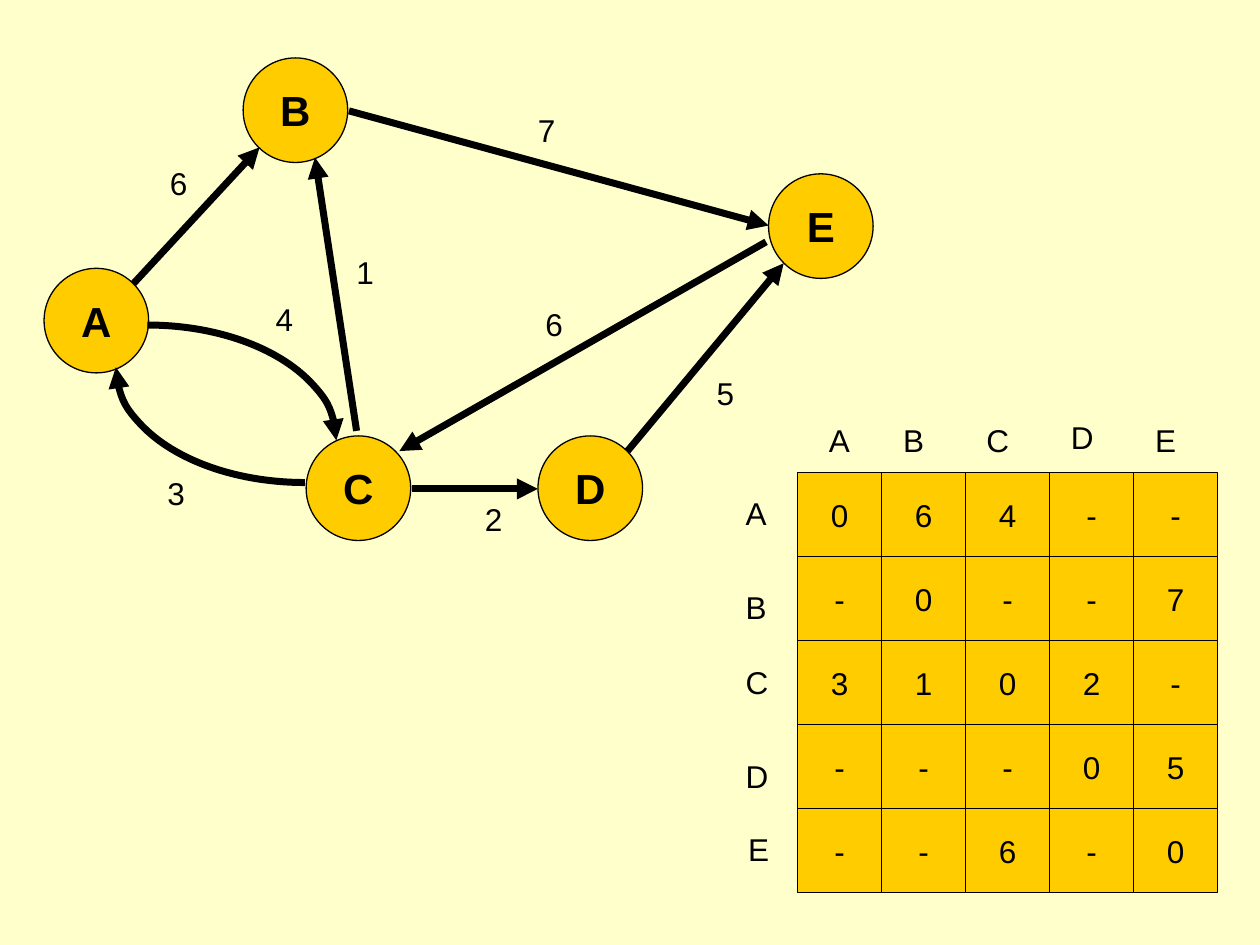
from lxml.etree import SubElement
from pptx import Presentation
from pptx.dml.color import RGBColor
from pptx.enum.shapes import MSO_CONNECTOR, MSO_SHAPE
from pptx.enum.text import MSO_ANCHOR, MSO_AUTO_SIZE, PP_ALIGN
from pptx.oxml.ns import qn
from pptx.util import Inches, Pt

CREAM = RGBColor(0xFF, 0xFF, 0xCC)
GOLD = RGBColor(0xFF, 0xCC, 0x00)
BLACK = RGBColor(0, 0, 0)

NODE_SIZE = 0.83
CELL_SIZE = 2 / 3
ARC_WIDTH, ARC_HEIGHT = 3, 1.83

# Positions are relative to the top left of the graph
NODES = {"A": (0, 1.67), "B": (1.58, 0), "C": (2.08, 3),
         "D": (3.92, 3), "E": (5.75, 0.92)}

# Start, end, weight, place of the weight
STRAIGHT_EDGES = [
    ((0.71, 1.79), (1.71, 0.71), "6", (0.9, 0.79)),    # A to B
    ((2.92, 3.42), (3.92, 3.42), "2", (3.4, 3.46)),    # C to D
    ((4.63, 3.12), (5.87, 1.63), "5", (5.24, 2.46)),   # D to E
    ((2.42, 0.42), (5.75, 1.33), "7", (3.82, 0.37)),   # B to E
    ((2.48, 2.96), (2.15, 0.79), "1", (2.38, 1.5)),    # C to B
    ((5.73, 1.46), (2.82, 3.12), "6", (3.88, 1.91)),   # E to C
]

# Corner of the ellipse, start and end angle, weight, place of the weight
CURVED_EDGES = [
    ((-0.68, 2.12), (270, 0), "4", (1.74, 1.87)),      # A to C
    ((0.57, 1.54), (90, 180), "3", (0.88, 3.25)),      # C to A
]

WEIGHTS = ["064--", "-0--7", "3102-", "---05", "--6-0"]

# Heading places are relative to the top left of the matrix
ROW_HEADINGS = {"A": (-0.51, 0.12), "B": (-0.51, 0.87), "C": (-0.51, 1.46),
                "D": (-0.51, 2.21), "E": (-0.49, 2.79)}
COLUMN_HEADINGS = {"A": (0.15, -0.46), "B": (0.74, -0.46), "C": (1.4, -0.46),
                   "D": (2.07, -0.48), "E": (2.74, -0.46)}


def write(shape, text, size, bold=False):
    frame = shape.text_frame
    frame.word_wrap = False
    frame.text = text
    font = frame.paragraphs[0].runs[0].font
    font.name, font.size, font.bold = "Arial", Pt(size), bold
    font.color.rgb = BLACK
    return frame


def add_label(slide, left, top, text):
    label = slide.shapes.add_textbox(
        Inches(left), Inches(top), Inches(0.36), Inches(0.4))
    write(label, text, 18).auto_size = MSO_AUTO_SIZE.SHAPE_TO_FIT_TEXT


def add_gold_shape(slide, kind, left, top, side, text, size, bold=False):
    shape = slide.shapes.add_shape(
        kind, Inches(left), Inches(top), Inches(side), Inches(side))
    shape.shadow.inherit = False
    shape.fill.solid()
    shape.fill.fore_color.rgb = GOLD
    shape.line.color.rgb = BLACK
    shape.line.width = Pt(0.75)
    frame = write(shape, text, size, bold)
    frame.vertical_anchor = MSO_ANCHOR.MIDDLE
    frame.paragraphs[0].alignment = PP_ALIGN.CENTER


def style_arrow(line):
    line.color.rgb = BLACK
    line.width = Pt(4)
    SubElement(line._get_or_add_ln(), qn("a:tailEnd"), type="triangle")


def draw_graph(slide, left, top):
    # Nodes
    for name, (x, y) in NODES.items():
        add_gold_shape(slide, MSO_SHAPE.OVAL, left + x, top + y,
                       NODE_SIZE, name, 24, bold=True)

    # Straight edges
    for (x1, y1), (x2, y2), weight, (x, y) in STRAIGHT_EDGES:
        edge = slide.shapes.add_connector(
            MSO_CONNECTOR.STRAIGHT, Inches(left + x1), Inches(top + y1),
            Inches(left + x2), Inches(top + y2))
        style_arrow(edge.line)
        SubElement(edge._element.spPr, qn("a:effectLst"))
        add_label(slide, left + x, top + y, weight)

    # Curved edges between A and C
    for (arc_x, arc_y), angles, weight, (x, y) in CURVED_EDGES:
        edge = slide.shapes.add_shape(
            MSO_SHAPE.ARC, Inches(left + arc_x), Inches(top + arc_y),
            Inches(ARC_WIDTH), Inches(ARC_HEIGHT))
        for index, angle in enumerate(angles):
            edge.adjustments[index] = angle * 0.6  # 60000 units to a degree
        edge.shadow.inherit = False
        edge.fill.background()
        style_arrow(edge.line)
        add_label(slide, left + x, top + y, weight)


def draw_matrix(slide, left, top):
    # Squares with the weights
    for row, weights in enumerate(WEIGHTS):
        for column, weight in enumerate(weights):
            add_gold_shape(slide, MSO_SHAPE.RECTANGLE,
                           left + column * CELL_SIZE, top + row * CELL_SIZE,
                           CELL_SIZE, weight, 18)

    # Row and column headings
    for headings in (ROW_HEADINGS, COLUMN_HEADINGS):
        for name, (x, y) in headings.items():
            add_label(slide, left + x, top + y, name)


def main():
    deck = Presentation()
    deck.slide_width, deck.slide_height = Inches(10), Inches(7.5)
    slide = deck.slides.add_slide(deck.slide_layouts[6])
    slide.background.fill.solid()
    slide.background.fill.fore_color.rgb = CREAM
    draw_graph(slide, 0.35, 0.46)
    draw_matrix(slide, 6.33, 3.75)
    deck.save("out.pptx")


if __name__ == "__main__":
    main()
